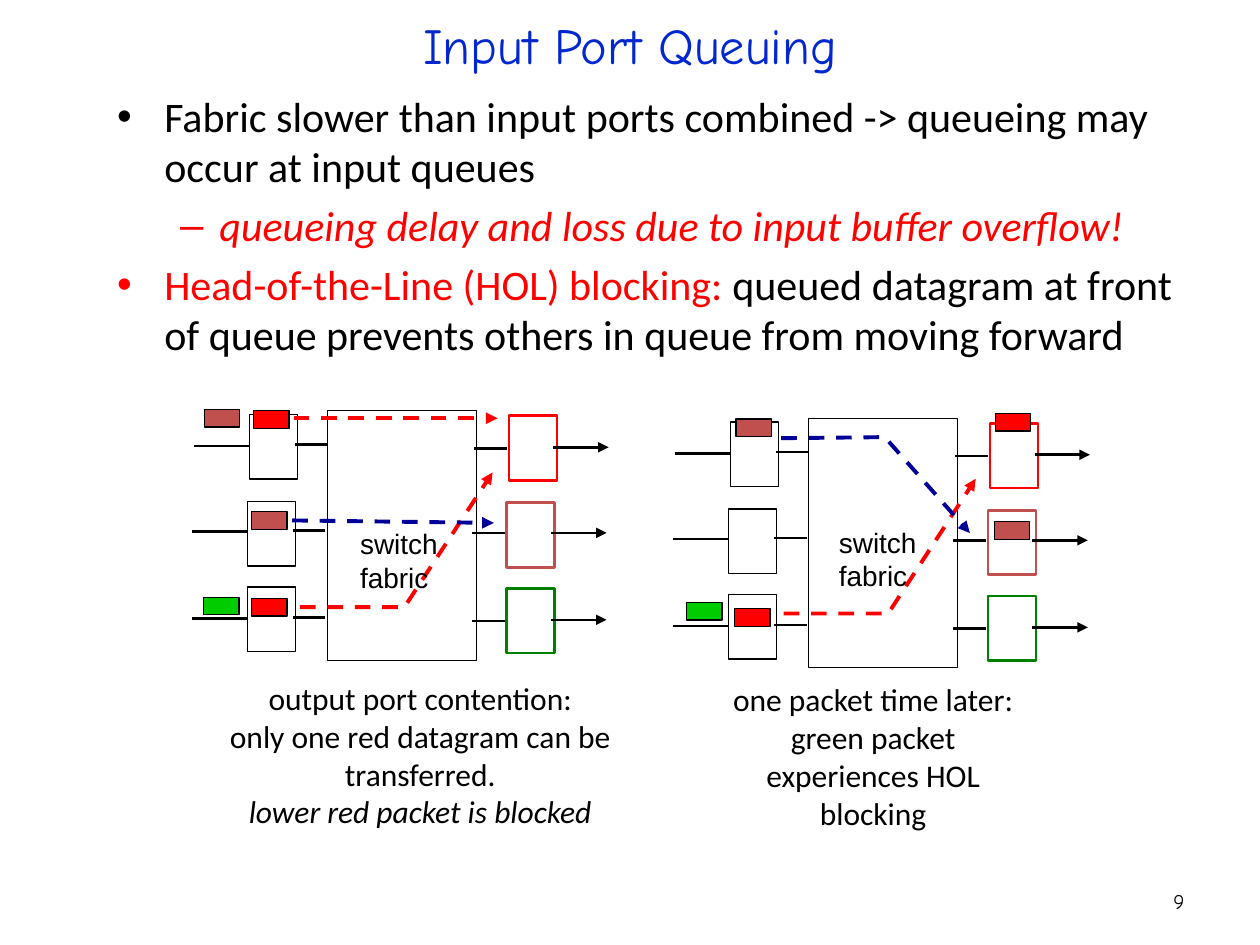
from lxml.etree import SubElement
from pptx import Presentation
from pptx.dml.color import RGBColor
from pptx.enum.dml import MSO_LINE
from pptx.enum.shapes import MSO_CONNECTOR, MSO_SHAPE
from pptx.enum.text import MSO_ANCHOR, PP_ALIGN
from pptx.oxml.ns import qn
from pptx.util import Pt

BLACK = RGBColor(0x00, 0x00, 0x00)
WHITE = RGBColor(0xFF, 0xFF, 0xFF)
TITLE_BLUE = RGBColor(0x02, 0x27, 0xCE)
RED = RGBColor(0xFF, 0x00, 0x00)
BRICK = RGBColor(0xC0, 0x50, 0x4D)
DARK_GREEN = RGBColor(0x00, 0x80, 0x00)
GREEN = RGBColor(0x00, 0xCC, 0x00)
NAVY = RGBColor(0x00, 0x00, 0x99)

# Port rows, measured from the corner of the fabric: side shift, tops of the
# input and output boxes, heights of the four lines from left to right, colour
PORT_ROWS = [
    (0, 2.2, 2.9, (20.2, 19.4, 21.6, 20.9), RED),
    (-1.2, 51.8, 52.6, (69.1, 68.4, 69.8, 69.8), BRICK),
    (-1.2, 100.8, 101.5, (118.8, 118.1, 120.2, 119.5), DARK_GREEN),
]
# Left and right end of the four lines in a row
LINE_SPANS = [(-76.5, -45), (-18.7, 0), (83.7, 102.4), (129, 160.6)]


def add_text(para, text, font="Calibri", size=18, color=BLACK, italic=False):
    span = para.add_run()
    span.text = text
    span.font.name = font
    span.font.size = Pt(size)
    span.font.color.rgb = color
    span.font.italic = italic


def add_box(shapes, left, top, width, height, wrap=True, anchor=MSO_ANCHOR.TOP):
    box = shapes.add_textbox(Pt(left), Pt(top), Pt(width), Pt(height))
    box.text_frame.word_wrap = wrap
    box.text_frame.vertical_anchor = anchor
    return box.text_frame


def next_para(frame, align=PP_ALIGN.LEFT):
    first = frame.paragraphs[0]
    para = frame.add_paragraph() if first.runs else first
    para.alignment = align
    return para


def add_bullet(frame, mark, margin, indent, level=0):
    para = next_para(frame)
    para.level = level
    para.space_before = Pt(4.8)
    properties = para._p.get_or_add_pPr()
    properties.set("marL", str(Pt(margin)))
    properties.set("indent", str(Pt(-indent)))
    SubElement(properties, qn("a:buFont"), typeface="Arial")
    SubElement(properties, qn("a:buChar"), char=mark)
    return para


def add_rect(shapes, left, top, width, height, fill=WHITE, line=BLACK, weight=0.75):
    shape = shapes.add_shape(
        MSO_SHAPE.RECTANGLE, Pt(left), Pt(top), Pt(width), Pt(height))
    shape.shadow.inherit = False
    shape.fill.solid()
    shape.fill.fore_color.rgb = fill
    shape.line.color.rgb = line
    shape.line.width = Pt(weight)


def add_packet(shapes, left, top, color):
    add_rect(shapes, left, top, 20.2, 10.1, fill=color)


def style_line(line, color, weight, dashed, arrow):
    line.color.rgb = color
    line.width = Pt(weight)
    if dashed:
        line.dash_style = MSO_LINE.DASH
    if arrow:
        SubElement(line._get_or_add_ln(), qn("a:tailEnd"), type="triangle")


def add_line(shapes, start, end, color=BLACK, weight=1.5, dashed=False, arrow=False):
    ends = [Pt(value) for value in (*start, *end)]
    connector = shapes.add_connector(MSO_CONNECTOR.STRAIGHT, *ends)
    style_line(connector.line, color, weight, dashed, arrow)
    SubElement(connector._element.spPr, qn("a:effectLst"))


def add_route(shapes, points, color):
    """Dashed path of a packet through the fabric."""
    if len(points) == 2:
        add_line(shapes, *points, color=color, weight=2.25, dashed=True, arrow=True)
        return
    corners = [(Pt(x), Pt(y)) for x, y in points]
    builder = shapes.build_freeform(*corners[0])
    builder.add_line_segments(corners[1:], close=False)
    route = builder.convert_to_shape()
    route.shadow.inherit = False
    route.fill.background()
    style_line(route.line, color, 2.25, True, True)


def add_switch(shapes, left, top):
    """Fabric with three input ports and three output ports."""
    add_rect(shapes, left, top, 85, 142.6)
    for shift, input_top, output_top, heights, color in PORT_ROWS:
        x = left + shift
        add_rect(shapes, x - 44.6, top + input_top, 27.4, 36.9)
        add_rect(shapes, x + 103.6, top + output_top, 27.4, 36.9,
                 line=color, weight=1.5)
        for (start, end), height in zip(LINE_SPANS, heights):
            add_line(shapes, (x + start, top + height), (x + end, top + height),
                     arrow=end > 150)


def add_fabric_label(shapes, left, top):
    frame = add_box(shapes, left, top, 59, 46, wrap=False)
    for word in ("switch", "fabric"):
        add_text(next_para(frame), word, font="Arial", size=16)


def add_heading(shapes):
    frame = add_box(shapes, 54, 7.2, 612, 36, anchor=MSO_ANCHOR.MIDDLE)
    add_text(next_para(frame, PP_ALIGN.CENTER), "Input Port Queuing",
             font="Comic Neue", size=28.8, color=TITLE_BLUE)


def add_body(shapes):
    frame = add_box(shapes, 59.8, 48.2, 638, 237.6)
    add_text(add_bullet(frame, "•", 27, 27),
             "Fabric slower than input ports combined -> queueing may occur "
             "at input queues", size=24)
    add_text(add_bullet(frame, "–", 58.5, 22.5, level=1),
             "queueing delay and loss due to input buffer overflow!",
             size=24, color=RED, italic=True)
    para = add_bullet(frame, "•", 27, 27)
    add_text(para, "Head-of-the-Line (HOL) blocking:", size=24, color=RED)
    add_text(para, " queued datagram at front of queue prevents others in queue "
             "from moving forward", size=24)


def add_contention(shapes):
    add_switch(shapes.add_group_shape().shapes, 187.2, 234.7)
    for left, top, color in [(144.9, 234.7, RED), (143.8, 292.5, BRICK),
                             (143.8, 342, RED), (116.8, 234, BRICK),
                             (116.4, 341.3, GREEN)]:
        add_packet(shapes, left, top, color)
    add_route(shapes, [(167.8, 239), (284.4, 239)], RED)
    add_route(shapes, [(171.4, 347), (231.1, 347), (281.5, 270)], RED)
    frame = add_box(shapes, 106.6, 384.5, 267.1, 93.6)
    add_text(next_para(frame, PP_ALIGN.CENTER), "output port contention:")
    para = next_para(frame, PP_ALIGN.CENTER)
    add_text(para, "only one red datagram can be transferred.")
    para.add_line_break()
    add_text(para, "lower red packet is blocked", italic=True)
    add_fabric_label(shapes, 198.7, 297.4)
    add_route(shapes, [(167, 297.4), (282.2, 298.8)], NAVY)


def add_blocking(shapes):
    add_switch(shapes, 462.2, 239)
    frame = add_box(shapes, 411.1, 385.2, 175.7, 93.6)
    add_text(next_para(frame, PP_ALIGN.CENTER),
             "one packet time later: green packet experiences HOL blocking")
    add_fabric_label(shapes, 472.3, 296.6)
    for left, top, color in [(568.8, 236.2, RED), (420.5, 239.4, BRICK),
                             (419.8, 347.8, RED), (392.4, 344.2, GREEN),
                             (568.1, 298.1, BRICK)]:
        add_packet(shapes, left, top, color)
    add_route(shapes, [(447.8, 350.6), (507.6, 350.6), (557.6, 273.6)], RED)
    add_route(shapes, [(446.4, 250.4), (505.6, 249.8), (554.2, 304.6)], NAVY)


def main():
    deck = Presentation()
    deck.slide_width, deck.slide_height = Pt(720), Pt(540)
    page = deck.slides.add_slide(deck.slide_layouts[6])

    # Text
    add_heading(page.shapes)
    add_body(page.shapes)

    # The two moments of the switch
    add_contention(page.shapes)
    add_blocking(page.shapes.add_group_shape().shapes)

    # Page number
    frame = add_box(page.shapes, 516, 500.4, 168, 28.8, anchor=MSO_ANCHOR.MIDDLE)
    add_text(next_para(frame, PP_ALIGN.RIGHT), "9", font="Comic Neue", size=12)

    deck.save("out.pptx")


if __name__ == "__main__":
    main()
